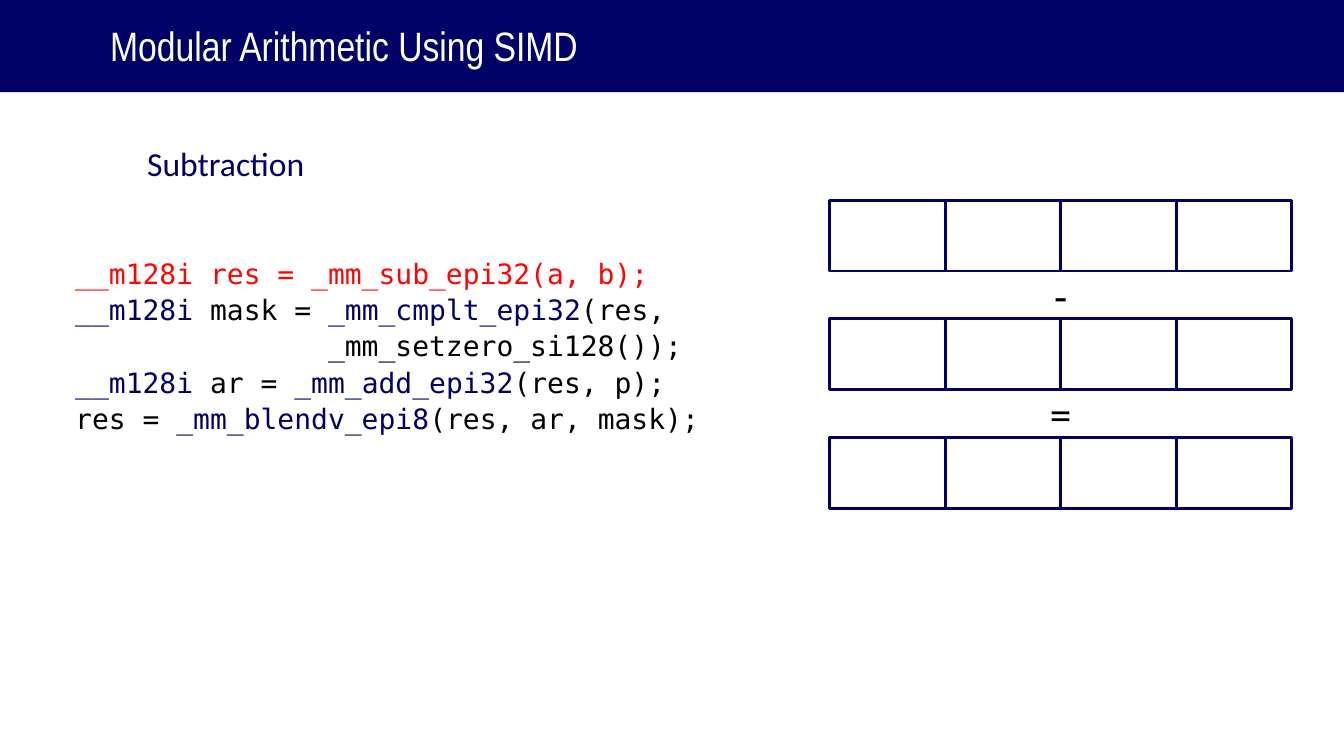
from dataclasses import dataclass

from pptx import Presentation
from pptx.dml.color import RGBColor
from pptx.enum.shapes import MSO_SHAPE
from pptx.enum.text import PP_ALIGN
from pptx.util import Inches, Pt

COLUMNS, ROWS = 80, 45
UNIT = 0.25


@dataclass(frozen=True)
class TextStyle:
    font: str
    size: float
    leading: float
    color: RGBColor


@dataclass(frozen=True)
class Theme:
    navy = RGBColor(0x00, 0x00, 0x66)
    red = RGBColor(0xFF, 0x04, 0x04)
    black = RGBColor(0x00, 0x00, 0x00)
    white = RGBColor(0xFF, 0xFF, 0xFF)
    outline = 3
    title = TextStyle("Arial Narrow", 44, 47.5, white)
    subtitle = TextStyle("Calibri", 36, 43.2, navy)
    operator = TextStyle("Calibri", 46.4, 60.2, black)
    code = TextStyle("DejaVu Sans Mono", 30, 39, black)


THEME = Theme()

CODE = [
    [("__m128i res = _mm_sub_epi32(a, b);", THEME.red)],
    [("__m128i ", THEME.navy), ("mask = ", THEME.black),
     ("_mm_cmplt_epi32", THEME.navy), ("(res,", THEME.black)],
    [("               _mm_setzero_si128());", THEME.black)],
    [("__m128i", THEME.navy), (" ar = ", THEME.black),
     ("_mm_add_epi32", THEME.navy), ("(res, p);", THEME.black)],
    [("res = ", THEME.black), ("_mm_blendv_epi8", THEME.navy),
     ("(res, ar, mask);", THEME.black)],
]


def grid(*cells):
    return [Inches(cell * UNIT) for cell in cells]


def add_box(slide, area, fill=None, outline=None):
    box = slide.shapes.add_shape(MSO_SHAPE.RECTANGLE, *grid(*area))
    box.shadow.inherit = False
    if fill is None:
        box.fill.background()
    else:
        box.fill.solid()
        box.fill.fore_color.rgb = fill
    if outline is None:
        box.line.fill.background()
    else:
        box.line.color.rgb = outline
        box.line.width = Pt(THEME.outline)


def add_lines(slide, area, lines, style, align=PP_ALIGN.LEFT):
    frame = slide.shapes.add_textbox(*grid(*area)).text_frame
    frame.word_wrap = True
    frame.margin_left = frame.margin_right = 0
    frame.margin_top = frame.margin_bottom = 0
    frame.text = "\n".join("" for _ in lines)
    for paragraph, pieces in zip(frame.paragraphs, lines):
        paragraph.alignment = align
        paragraph.line_spacing = Pt(style.leading)
        for text, color in pieces:
            run = paragraph.add_run()
            run.text = text
            run.font.name = style.font
            run.font.size = Pt(style.size)
            run.font.color.rgb = color


def add_label(slide, area, text, style, align=PP_ALIGN.LEFT):
    add_lines(slide, area, [[(text, style.color)]], style, align)


def add_vectors(slide, left, top, operators, lanes=4):
    lane_width, lane_height, pitch = 6.87, 4.21, 7.06
    operator_drop, operator_height = 3.84, 3.24
    for vector in range(len(operators) + 1):
        for lane in range(lanes):
            add_box(slide, (left + lane * lane_width, top + vector * pitch,
                            lane_width, lane_height), outline=THEME.navy)
    for gap, sign in enumerate(operators):
        add_label(slide, (left, top + gap * pitch + operator_drop,
                          lanes * lane_width, operator_height),
                  sign, THEME.operator, PP_ALIGN.CENTER)


def main():
    deck = Presentation()
    deck.slide_width, deck.slide_height = grid(COLUMNS, ROWS)
    slide = deck.slides.add_slide(deck.slide_layouts[6])

    add_box(slide, (0, 0, COLUMNS, 5.48), fill=THEME.navy)
    add_label(slide, (6.56, 1.48, 40, 2.72),
              "Modular Arithmetic Using SIMD", THEME.title)
    add_label(slide, (8.76, 8.48, 16.4, 2.36), "Subtraction", THEME.subtitle)
    add_lines(slide, (4.48, 15.08, 44.92, 10.84), CODE, THEME.code)
    add_vectors(slide, 49.4, 11.92, "-=")

    deck.save("out.pptx")


if __name__ == "__main__":
    main()
